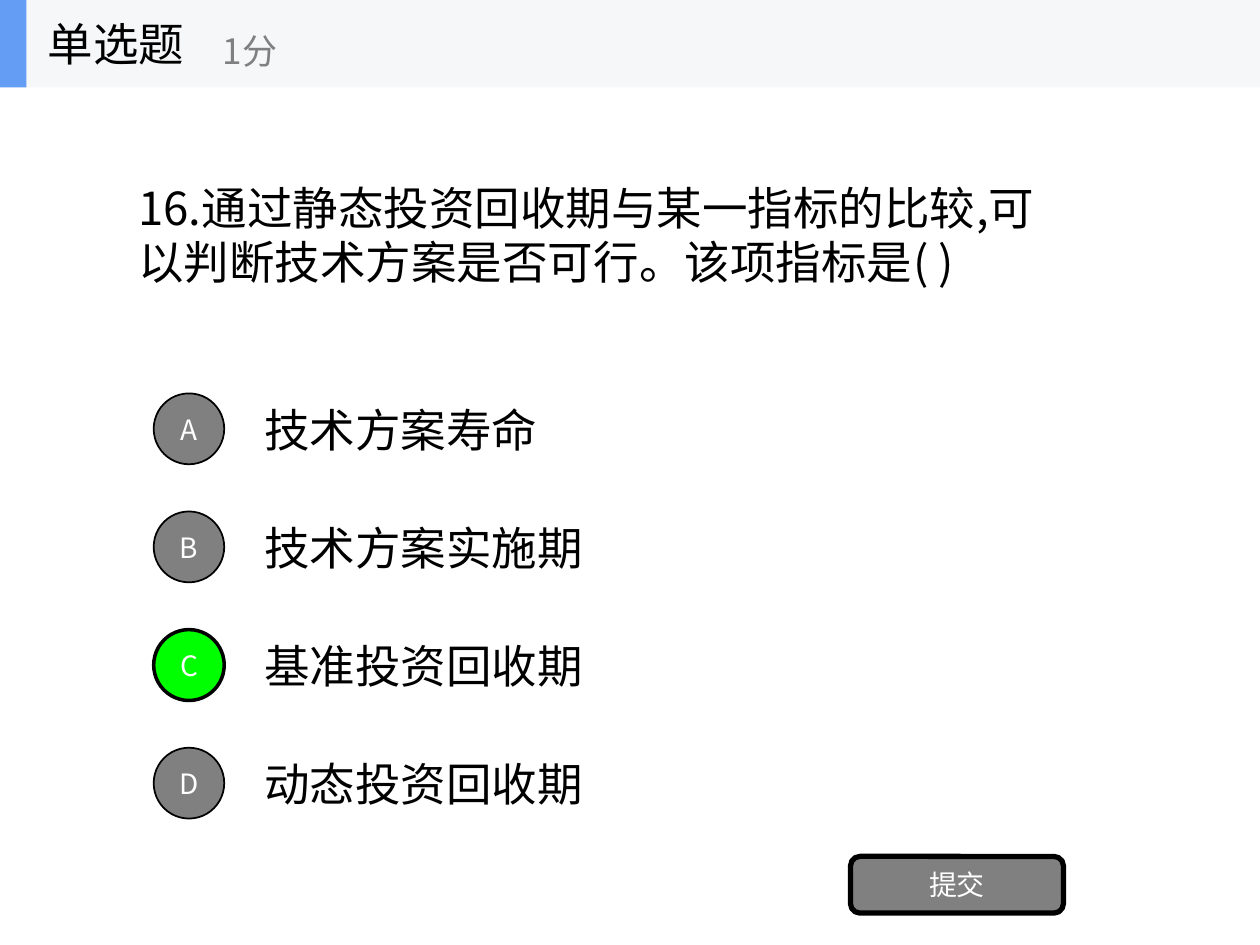
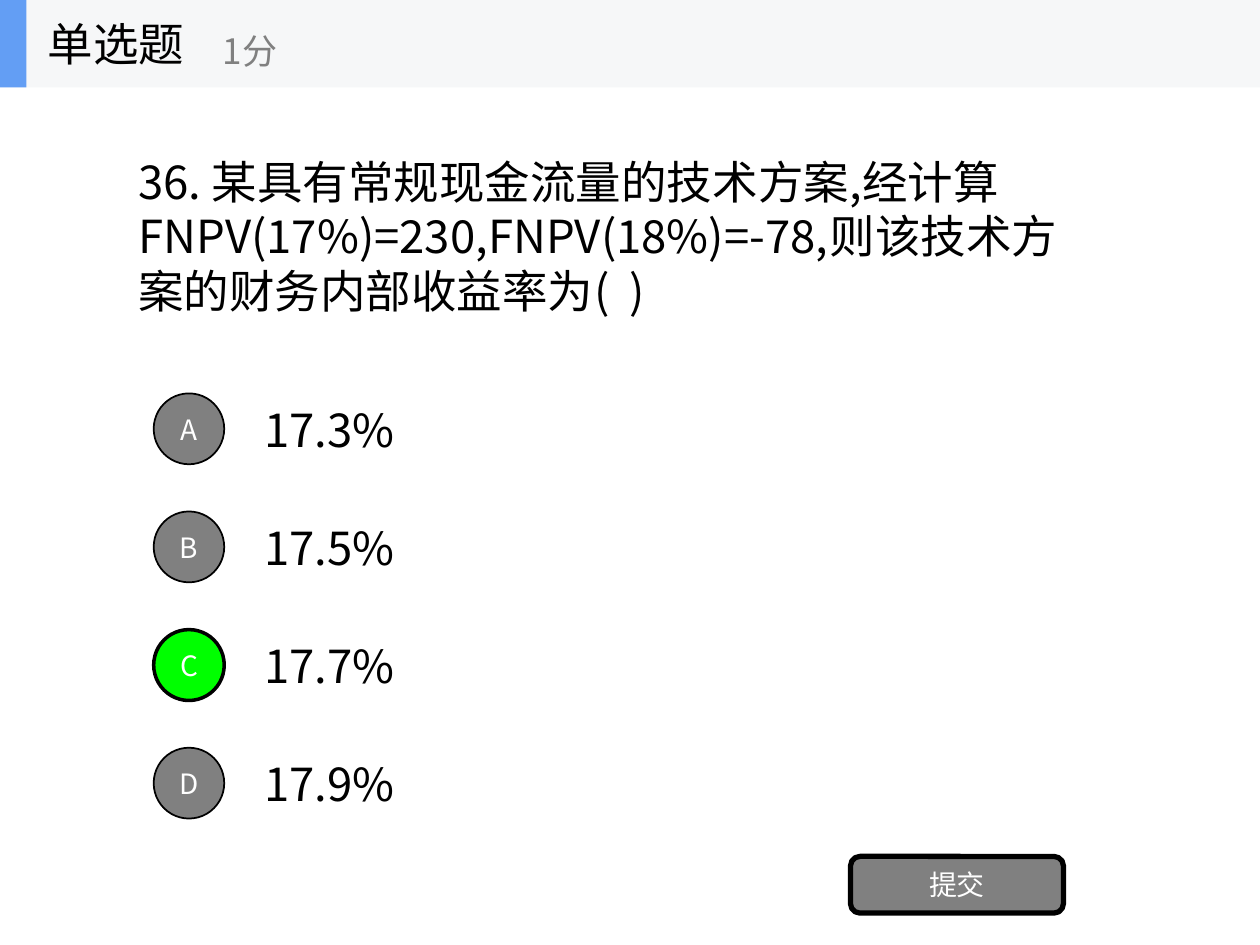
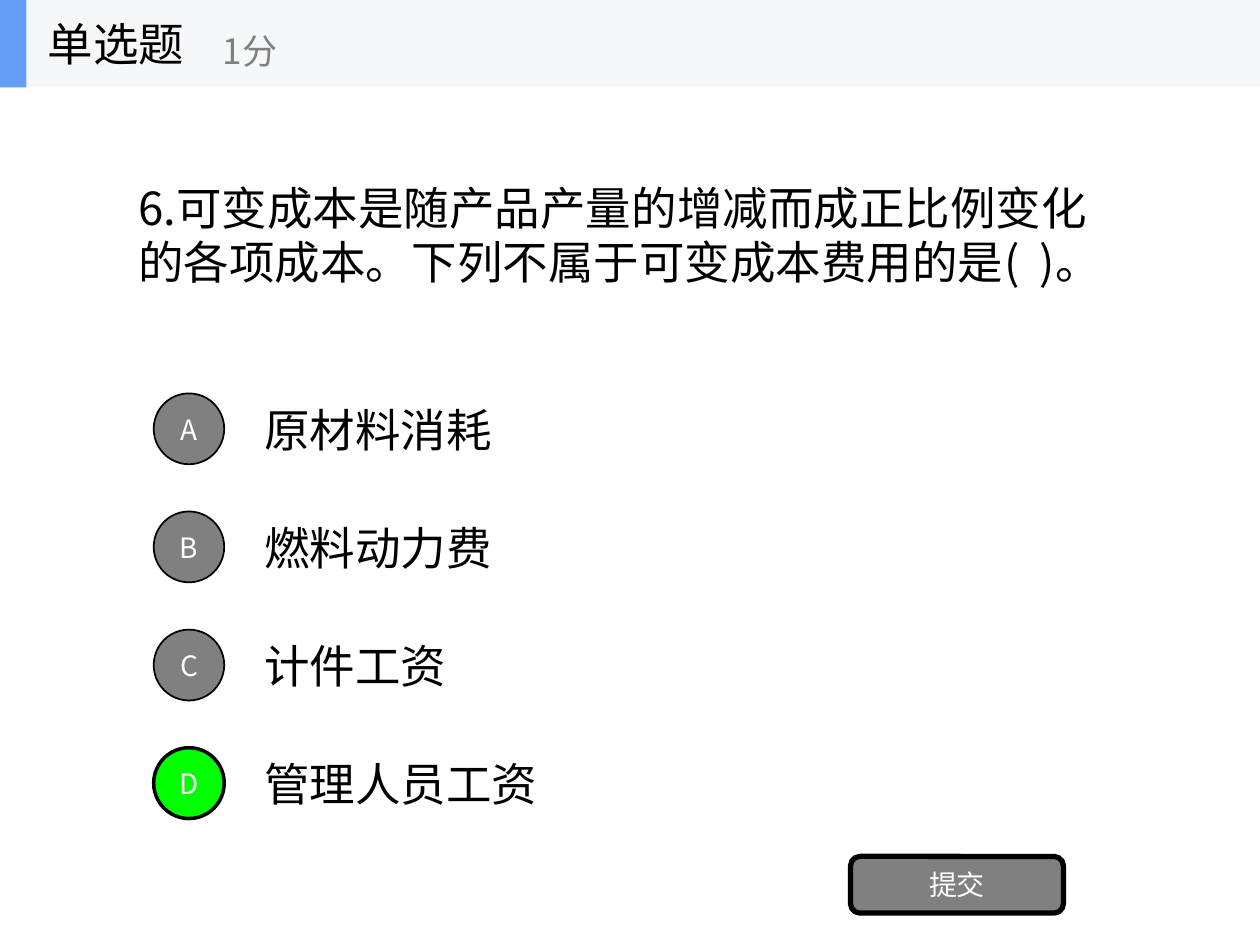
from dataclasses import dataclass

from lxml import etree
from pptx import Presentation
from pptx import util as u
from pptx.dml.color import RGBColor
from pptx.enum import shapes, text
from pptx.oxml.ns import qn


@dataclass(frozen=True)
class Theme:
    font: str = "Noto Sans CJK SC"
    ink: str = "000000"
    paper: str = "FFFFFF"
    muted: str = "808080"
    correct: str = "00FF00"
    band: str = "F6F7F8"
    accent: str = "639EF4"
    body_size: int = 26
    score_size: int = 20
    control_size: int = 16


class QuizDeck:
    """Places elements on a grid of 10 columns by 8 rows."""

    COLUMNS, ROWS = 10, 8

    def __init__(self, theme):
        self.theme = theme
        self.deck = Presentation()
        self.deck.slide_width = u.Inches(10)
        self.deck.slide_height = u.Inches(7.5)
        self.canvas = None

    def new_slide(self):
        self.slide = self.deck.slides.add_slide(self.deck.slide_layouts[6])
        self.canvas = self.slide.shapes

    def box(self, column, row, columns, rows):
        across = self.deck.slide_width / self.COLUMNS
        down = self.deck.slide_height / self.ROWS
        return (round(column * across), round(row * down),
                round(columns * across), round(rows * down))

    def set_words(self, frame, words, size, color, align=text.PP_ALIGN.LEFT):
        frame.vertical_anchor = text.MSO_ANCHOR.MIDDLE
        paragraph = frame.paragraphs[0]
        paragraph.text = words
        paragraph.alignment = align
        font = paragraph.font
        font.size = u.Pt(size)
        font.color.rgb = RGBColor.from_string(color)
        font.name = self.theme.font
        # East Asian glyphs need their own typeface entry
        defaults = paragraph._p.pPr.find(qn("a:defRPr"))
        etree.SubElement(defaults, qn("a:ea"), typeface=self.theme.font)

    def label(self, words, place, size=None, color=None, wrap=True):
        frame = self.canvas.add_textbox(*self.box(*place)).text_frame
        frame.word_wrap = wrap
        frame.auto_size = (text.MSO_AUTO_SIZE.SHAPE_TO_FIT_TEXT if wrap
                           else text.MSO_AUTO_SIZE.NONE)
        self.set_words(frame, words, size or self.theme.body_size, color or self.theme.ink)

    def block(self, kind, place, fill, border=0):
        block = self.canvas.add_shape(kind, *self.box(*place))
        block.shadow.inherit = False
        block.fill.solid()
        block.fill.fore_color.rgb = RGBColor.from_string(fill)
        if border:
            block.line.color.rgb = RGBColor.from_string(self.theme.ink)
            block.line.width = u.Pt(border)
        else:
            block.line.fill.background()
        return block

    def control(self, kind, words, place, fill, border):
        control = self.block(kind, place, fill, border)
        self.set_words(control.text_frame, words, self.theme.control_size,
                       self.theme.paper, text.PP_ALIGN.CENTER)

    def option(self, index, words, is_correct):
        row = 3.33 + index
        # Latin characters take about 0.6 of an em
        ems = sum(0.6 if character.isascii() else 1 for character in words)
        width = ems * self.theme.body_size / 72 + 0.3
        self.label(words, (2, row + 0.01, width, 0.58))
        self.control(shapes.MSO_SHAPE.OVAL, "ABCD"[index], (1.22, row, 0.56, 0.6),
                     self.theme.correct if is_correct else self.theme.muted,
                     2 if is_correct else 1)

    def submit_button(self):
        self.control(shapes.MSO_SHAPE.ROUNDED_RECTANGLE, "提交",
                     (6.75, 7.25, 1.69, 0.48), self.theme.muted, 3)

    def header(self):
        height = 0.74
        self.canvas = self.slide.shapes.add_group_shape().shapes
        self.block(shapes.MSO_SHAPE.RECTANGLE, (0, 0, self.COLUMNS, height), self.theme.band)
        self.block(shapes.MSO_SHAPE.RECTANGLE, (0, 0, 0.21, height), self.theme.accent)
        self.label("单选题", (0.28, 0, 2.08, height), wrap=False)
        self.label("1分", (1.67, 0.13, 2.5, 0.6), self.theme.score_size,
                   self.theme.muted, wrap=False)

    def question(self, stem, stem_place, options, answer):
        self.new_slide()
        self.label(stem, stem_place)
        for index, words in enumerate(options):
            self.option(index, words, "ABCD"[index] == answer)
        self.submit_button()
        self.header()


# Stem, its place on the grid, options, correct letter
QUESTIONS = [
    ("16.通过静态投资回收期与某一指标的比较,可以判断技术方案是否可行。该项指标是( )",
     (1, 1.47, 7.66, 1.03),
     ["技术方案寿命", "技术方案实施期", "基准投资回收期", "动态投资回收期"], "C"),
    ("36. 某具有常规现金流量的技术方案,经计算FNPV(17%)=230,FNPV(18%)=-78,"
     "则该技术方案的财务内部收益率为(  )",
     (1, 1.25, 7.8, 1.49),
     ["17.3%", "17.5%", "17.7%", "17.9%"], "C"),
    ("6.可变成本是随产品产量的增减而成正比例变化的各项成本。下列不属于可变成本费用的是(  )。",
     (1, 1.47, 7.98, 1.03),
     ["原材料消耗", "燃料动力费", "计件工资", "管理人员工资"], "D"),
]


def main():
    quiz = QuizDeck(Theme())
    for question in QUESTIONS:
        quiz.question(*question)
    quiz.deck.save("out.pptx")


if __name__ == "__main__":
    main()
